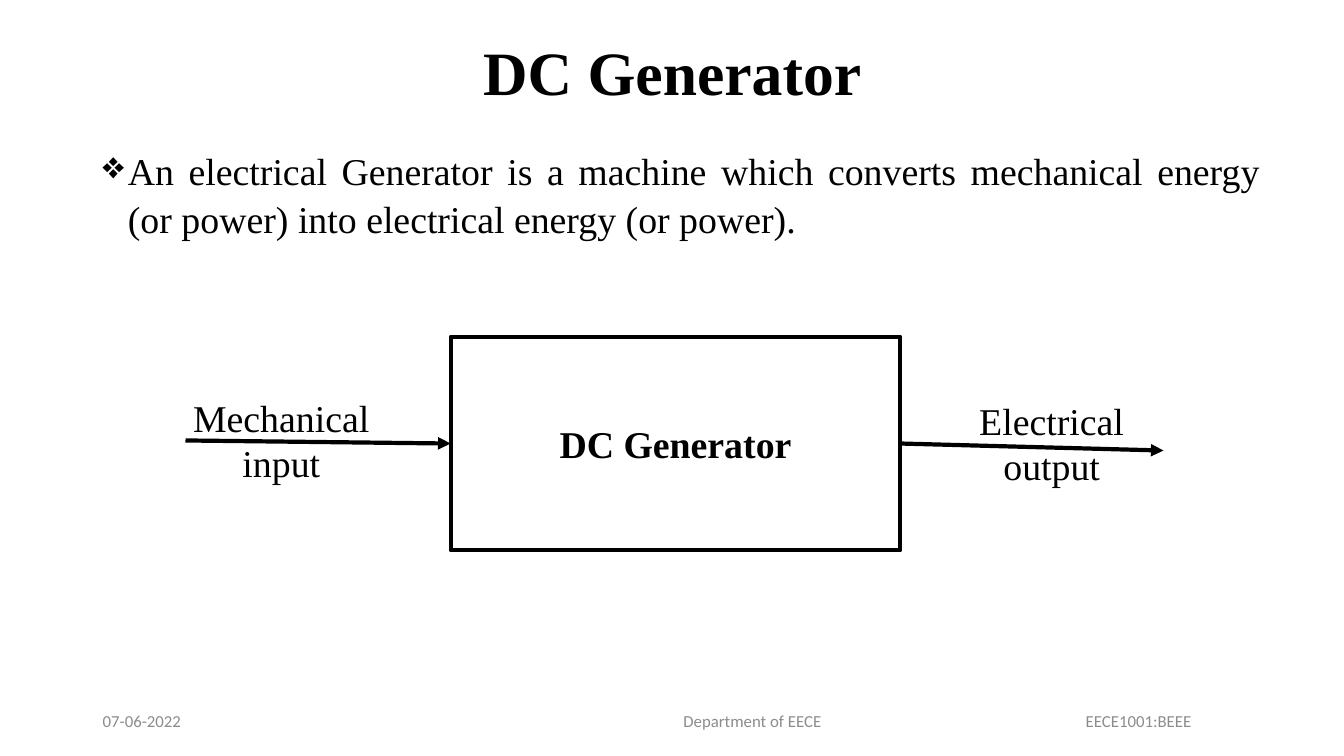
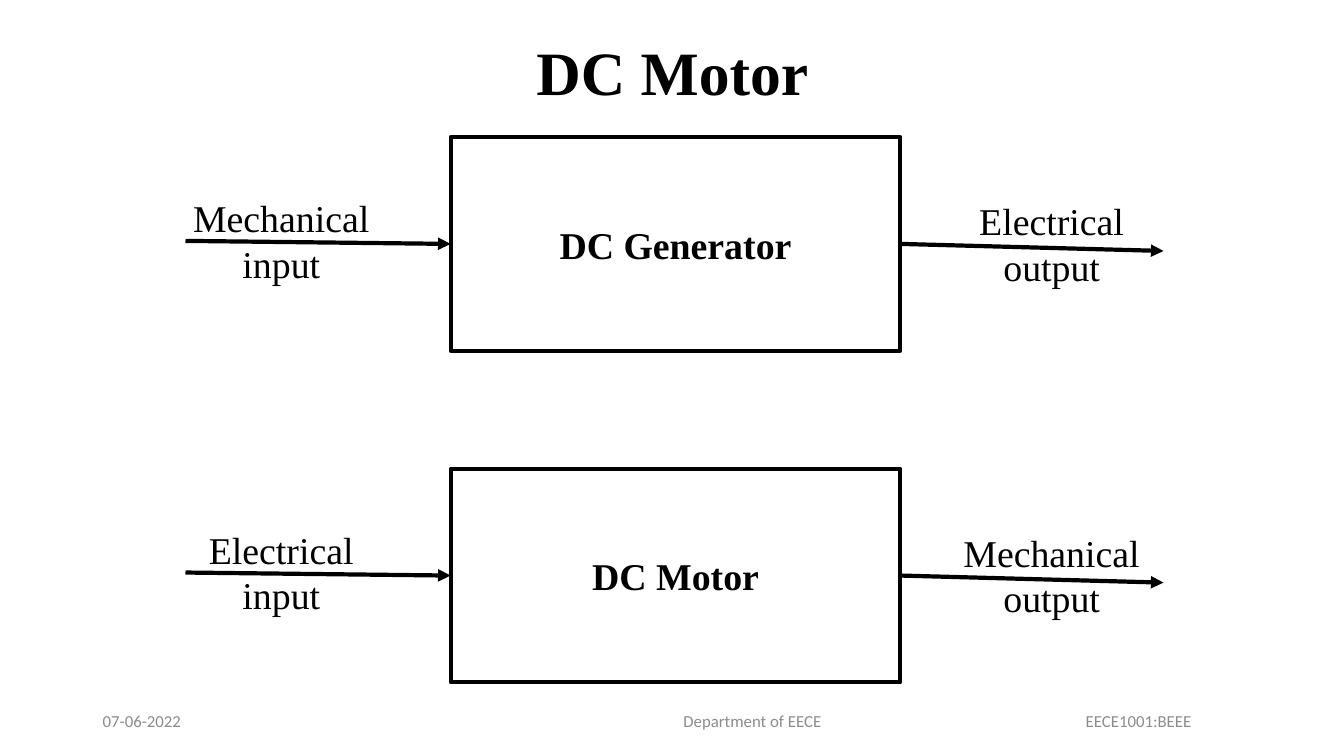
from dataclasses import dataclass

from lxml.etree import SubElement
from pptx import Presentation
from pptx.dml.color import RGBColor
from pptx.enum.shapes import MSO_CONNECTOR as Connector, MSO_SHAPE as Preset
from pptx.enum.text import MSO_ANCHOR as Anchor, PP_ALIGN as Align
from pptx.oxml.ns import qn
from pptx.util import Inches, Pt

# Shared style
BLACK, WHITE, GREY = "000000", "FFFFFF", "8C8C8C"
SERIF, SANS = "Times New Roman", "Calibri"
BODY_SIZE = 27

# Block diagram geometry, in inches
BLOCK_LEFT, BLOCK_WIDTH, BLOCK_HEIGHT = 4.47, 4.46, 2.12
LABEL_WIDTH, LABEL_HEIGHT = 2.58, 1.23
INPUT_LEFT, OUTPUT_LEFT = 1.5, 9.14
INPUT_DROP, OUTPUT_DROP = 0.41, 0.44
ARROW_START, ARROW_END = 1.84, 11.54


@dataclass(frozen=True)
class Footer:
    text: str
    left: float
    width: float


@dataclass(frozen=True)
class Machine:
    name: str
    source: str
    result: str
    top: float


FOOTERS = (
    Footer("07-06-2022", 0.92, 3),
    Footer("Department of EECE", 6.68, 2),
    Footer("EECE1001:BEEE", 10.67, 2),
)


def color(value: str) -> RGBColor:
    return RGBColor.from_string(value)


def write(shape, text: str, *, size: float = BODY_SIZE, font: str = SERIF,
          fill: str = BLACK, bold: bool = False, align=Align.CENTER,
          anchor=Anchor.MIDDLE, spacing: float = 1.0):
    """Put one formatted paragraph in a shape and return the paragraph."""
    frame = shape.text_frame
    frame.word_wrap = True
    frame.vertical_anchor = anchor
    paragraph = frame.paragraphs[0]
    paragraph.text = text
    paragraph.alignment = align
    paragraph.line_spacing = spacing
    for run in paragraph.runs:
        run.font.size = Pt(size)
        run.font.name = font
        run.font.bold = bold
        run.font.color.rgb = color(fill)
    return paragraph


def add_text(slide, text: str, left: float, top: float, width: float,
             height: float, **style):
    box = slide.shapes.add_textbox(Inches(left), Inches(top),
                                   Inches(width), Inches(height))
    return write(box, text, **style)


def add_box(slide, text: str, left: float, top: float, width: float,
            height: float, line: str, weight: float, **style):
    box = slide.shapes.add_shape(Preset.RECTANGLE, Inches(left), Inches(top),
                                 Inches(width), Inches(height))
    box.shadow.inherit = False
    box.fill.solid()
    box.fill.fore_color.rgb = color(WHITE)
    box.line.color.rgb = color(line)
    box.line.width = Pt(weight)
    write(box, text, **style)
    return box


def add_arrow(slide, x1: float, y1: float, x2: float, y2: float):
    arrow = slide.shapes.add_connector(Connector.STRAIGHT, Inches(x1),
                                       Inches(y1), Inches(x2), Inches(y2))
    arrow.line.color.rgb = color(BLACK)
    arrow.line.width = Pt(3)
    properties = arrow.element.spPr
    SubElement(properties.find(qn("a:ln")), qn("a:tailEnd"), type="triangle")
    SubElement(properties, qn("a:effectLst"))
    return arrow


def add_machine(slide, machine: Machine) -> None:
    # Labels lie behind the arrows
    for text, left, drop in ((machine.source, INPUT_LEFT, INPUT_DROP),
                             (machine.result, OUTPUT_LEFT, OUTPUT_DROP)):
        add_box(slide, text, left, machine.top + drop,
                LABEL_WIDTH, LABEL_HEIGHT, WHITE, 1)

    block = add_box(slide, machine.name, BLOCK_LEFT, machine.top,
                    BLOCK_WIDTH, BLOCK_HEIGHT, BLACK, 3, bold=True)

    # Arrows into and out of the block
    middle = machine.top + BLOCK_HEIGHT / 2
    arrow_in = add_arrow(slide, ARROW_START, middle - 0.03, BLOCK_LEFT, middle)
    arrow_in.end_connect(block, 1)
    arrow_out = add_arrow(slide, BLOCK_LEFT + BLOCK_WIDTH, middle,
                          ARROW_END, middle + 0.07)
    arrow_out.begin_connect(block, 3)


def add_bullet(slide, text: str) -> None:
    paragraph = add_text(slide, text, 0.92, 1.38, 11.68, 1.14,
                         align=Align.JUSTIFY, anchor=Anchor.TOP, spacing=1.07)
    paragraph.space_before = Pt(12)
    paragraph.space_after = Pt(10)
    properties = paragraph._p.get_or_add_pPr()
    properties.set("marL", str(Inches(0.25)))
    properties.set("indent", str(Inches(-0.25)))
    SubElement(properties, qn("a:buChar"), char="❖")


def add_slide(presentation, title: str):
    """Add a blank slide with the shared footers and title."""
    slide = presentation.slides.add_slide(presentation.slide_layouts[6])
    for footer in FOOTERS:
        add_text(slide, footer.text, footer.left, 6.95, footer.width, 0.4,
                 size=12, font=SANS, fill=GREY, align=Align.LEFT)
    add_text(slide, title, 0.92, 0.02, 11.5, 1.45,
             size=44, bold=True, spacing=0.9)
    return slide


def main() -> None:
    presentation = Presentation()
    presentation.slide_width = Inches(13.33)
    presentation.slide_height = Inches(7.5)

    # Generator
    slide = add_slide(presentation, "DC Generator")
    add_bullet(slide, "An electrical Generator is a machine which converts "
                      "mechanical energy (or power) into electrical energy "
                      "(or power).")
    generator = ("DC Generator", "Mechanical\vinput", "Electrical\voutput")
    add_machine(slide, Machine(*generator, top=3.34))

    # Generator and motor compared
    slide = add_slide(presentation, "DC Motor")
    add_machine(slide, Machine(*generator, top=1.36))
    add_machine(slide, Machine("DC Motor", "Electrical\vinput",
                               "Mechanical\voutput", top=4.65))

    presentation.save("out.pptx")


if __name__ == "__main__":
    main()
